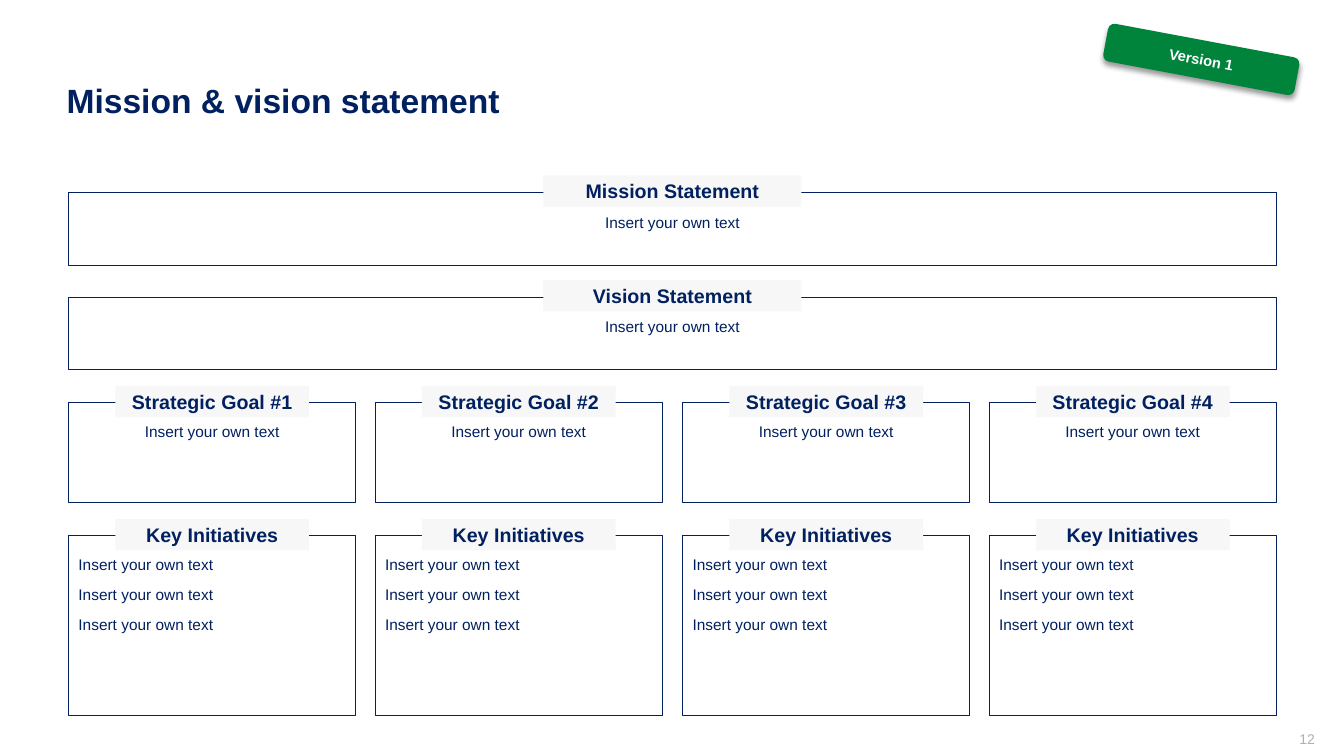
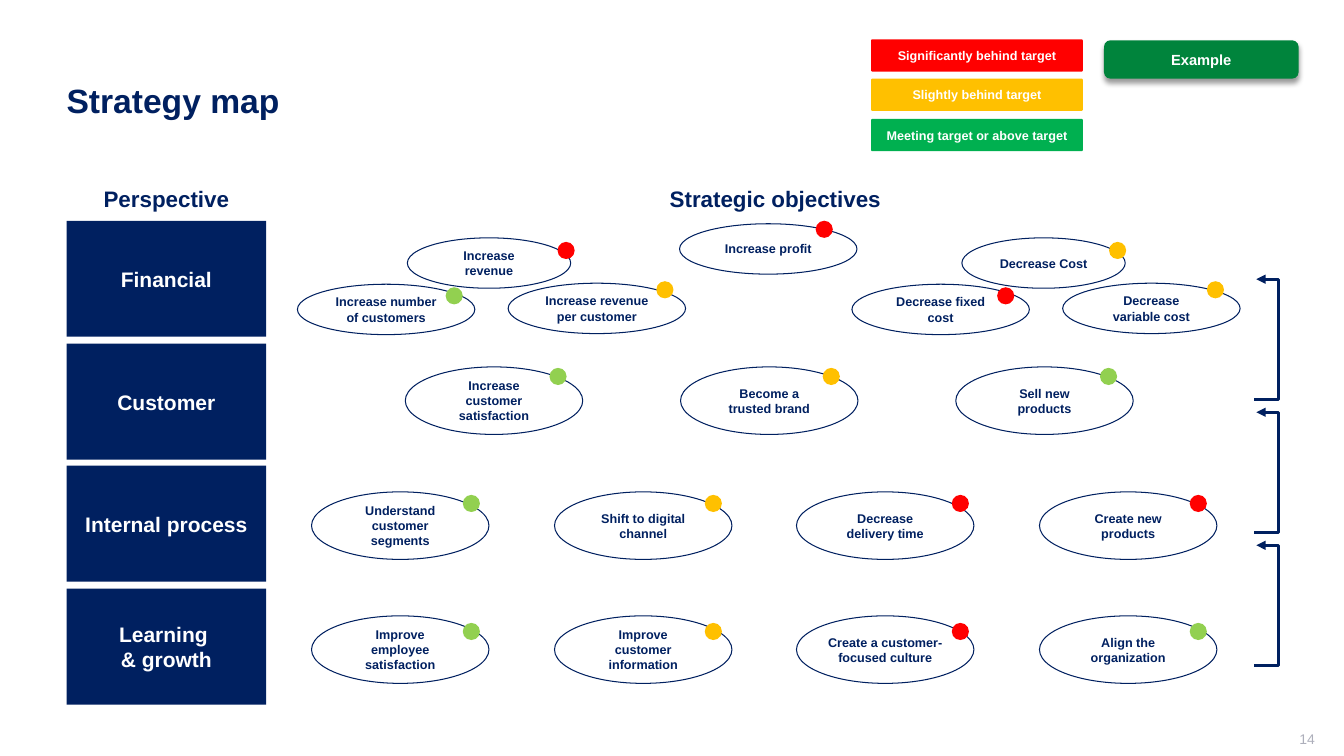
from lxml import etree
from pptx import Presentation
from pptx.dml.color import RGBColor
from pptx.enum.shapes import MSO_CONNECTOR, MSO_SHAPE
from pptx.enum.text import MSO_ANCHOR, PP_ALIGN
from pptx.oxml.ns import qn
from pptx.util import Pt

PX = 9144  # 100 px to the inch
W, H = 1333, 750

NAVY = RGBColor(0x00, 0x20, 0x60)
WHITE = RGBColor(0xFF, 0xFF, 0xFF)
PALE = RGBColor(0xF7, 0xF7, 0xF7)
GREY = RGBColor(0xAD, 0xAF, 0xBB)
FOREST = RGBColor(0x00, 0x84, 0x3C)
RED = RGBColor(0xFF, 0x00, 0x00)
AMBER = RGBColor(0xFF, 0xC0, 0x00)
GREEN = RGBColor(0x00, 0xB0, 0x50)
LIME = RGBColor(0x92, 0xD0, 0x50)

RECT, OVAL, ROUNDED = MSO_SHAPE.RECTANGLE, MSO_SHAPE.OVAL, MSO_SHAPE.ROUNDED_RECTANGLE
ELBOW = MSO_CONNECTOR.ELBOW
LEFT, CENTER, RIGHT = PP_ALIGN.LEFT, PP_ALIGN.CENTER, PP_ALIGN.RIGHT
TOP, MIDDLE = MSO_ANCHOR.TOP, MSO_ANCHOR.MIDDLE
INSETS = (10, 5, 10, 5)

# Mission and vision slide
SAMPLE = "Insert your own text"
PANEL_LEFT, PANEL_SPAN = 68, 1198
# top, height, panel width, header width, header rise, alignment, headers, body
PANEL_ROWS = [
    (191, 72, 1198, 256, 17, CENTER, ["Mission Statement"], [SAMPLE]),
    (295, 72, 1198, 256, 17, CENTER, ["Vision Statement"], [SAMPLE]),
    (399, 100, 285, 192, 16, CENTER,
     [f"Strategic Goal #{n}" for n in range(1, 5)], [SAMPLE]),
    (531, 179, 285, 192, 16, LEFT, ["Key Initiatives"] * 4, [SAMPLE] * 3),
]

# Strategy map slide
LEGEND = [
    ("Significantly behind target", RED),
    ("Slightly behind target", AMBER),
    ("Meeting target or above target", GREEN),
]
HEADINGS = [("Perspective", 66, 198, 0), ("Strategic objectives", 271, 996, 10)]
PERSPECTIVES = [["Financial"], ["Customer"], ["Internal process"],
                ["Learning ", "& growth"]]
# text, left, top, width, dot colour, dot offset
FINANCIAL = [
    ("Increase revenue", 404, 236, 162, RED, (149, 4)),
    ("Increase profit", 674, 222, 176, RED, (135, -3)),
    ("Increase number of customers", 295, 282, 176, LIME, (147, 3)),
    ("Increase revenue per customer", 504, 281, 176, AMBER, (147, -2)),
    ("Decrease Cost", 954, 236, 162, AMBER, (146, 4)),
    ("Decrease fixed cost", 845, 282, 176, RED, (144, 3)),
    ("Decrease variable cost", 1054, 281, 176, AMBER, (143, -2)),
]
# top, first left, last left, dot drop, objectives (lines, dot colour, dot shift)
OBJECTIVE_ROWS = [
    (364, 402, 948, 1, [
        (["Increase customer satisfaction"], LIME, 143),
        (["Become a trusted brand"], AMBER, 141),
        (["Sell new products"], LIME, 143)]),
    (488, 309, 1031, 3, [
        (["Understand customer segments"], LIME, 150),
        (["Shift to digital channel"], AMBER, 149),
        (["Decrease delivery time"], RED, 154),
        (["Create new products"], RED, 149)]),
    (611, 309, 1031, 7, [
        (["Improve", "employee satisfaction"], LIME, 150),
        (["Improve customer information"], AMBER, 149),
        (["Create a customer-focused culture"], RED, 154),
        (["Align the organization"], LIME, 149)]),
]
TIGHT = "Create a customer-focused culture"


def emu(*lengths):
    return [round(v * PX) for v in lengths]


def spread(first, last, count):
    """Left edges of count items evenly placed from first to last."""
    step = (last - first) / max(count - 1, 1)
    return [round(first + i * step) for i in range(count)]


def write(shape, lines, size, color, bold=True, align=CENTER, anchor=MIDDLE,
          insets=INSETS, gap=0):
    tf = shape.text_frame
    margins = zip(("left", "top", "right", "bottom"), emu(*insets))
    settings = {f"margin_{side}": v for side, v in margins}
    settings.update(word_wrap=True, vertical_anchor=anchor)
    for name, value in settings.items():
        setattr(tf, name, value)
    for i, line in enumerate(lines):
        p = tf.add_paragraph() if i else tf.paragraphs[0]
        p.alignment = align
        p.space_before, p.space_after = Pt(gap if i else 0), Pt(gap)
        r = p.add_run()
        r.text = line
        for name, value in dict(name="Arial", size=Pt(size), bold=bold).items():
            setattr(r.font, name, value)
        r.font.color.rgb = color


def add_shape(s, kind, box, fill=None, line=None):
    sp = s.shapes.add_shape(kind, *emu(*box))
    sp.shadow.inherit = False
    if fill is None:
        sp.fill.background()
    else:
        sp.fill.solid()
        sp.fill.fore_color.rgb = fill
    if line is None:
        sp.line.fill.background()
    else:
        sp.line.color.rgb = line
        sp.line.width = Pt(0.75)
    return sp


def add_text(s, box, lines, size, color, **format_values):
    write(s.shapes.add_textbox(*emu(*box)), lines, size, color, **format_values)


def add_slide(prs, title, number):
    s = prs.slides.add_slide(prs.slide_layouts[5])
    sp = s.shapes.title
    sp.left, sp.top, sp.width, sp.height = emu(56, 40, 1211, 119)
    write(sp, [title], 24, NAVY, align=LEFT)
    add_text(s, (1004, 725, 300, 21), [number], 10, GREY, bold=False,
             align=RIGHT, insets=(10, 0, 0, 5))
    return s


def add_badge(s, text, rotation=0):
    sp = add_shape(s, ROUNDED, (1095, 40, 193, 38), FOREST)
    sp.rotation = rotation
    write(sp, [text], 10.5, WHITE)
    effects = sp._element.spPr.find(qn("a:effectLst"))
    shadow = etree.SubElement(effects, qn("a:outerShdw"), blurRad=str(Pt(4)),
                              dist=str(Pt(3)), dir="5400000", algn="t",
                              rotWithShape="0")
    black = etree.SubElement(shadow, qn("a:srgbClr"), val="000000")
    etree.SubElement(black, qn("a:alpha"), val="40000")


def add_feedback_arrow(s, bottom):
    """Draw a bracket on the right that leads up to the next perspective."""
    width, reach = 2, 24
    cn = s.shapes.add_connector(
        ELBOW, *emu(1244, bottom, 1244 + width, bottom - 119))
    cn.line.color.rgb = NAVY
    cn.line.width = Pt(2.25)
    spPr = cn._element.spPr
    guides = spPr.find(qn("a:prstGeom")).get_or_add_avLst()
    etree.SubElement(guides, qn("a:gd"), name="adj1",
                     fmla=f"val {reach * 100000 // width}")
    etree.SubElement(cn.line._get_or_add_ln(), qn("a:tailEnd"), type="triangle")
    etree.SubElement(spPr, qn("a:effectLst"))


def add_objective(s, lines, box):
    side = 0 if lines == [TIGHT] else 10
    sp = add_shape(s, OVAL, box, WHITE, NAVY)
    write(sp, lines, 9, NAVY, insets=(side, 5, side, 5))


def build_mission(prs):
    s = add_slide(prs, "Mission & vision statement", "12")
    for top, height, width, head_width, rise, align, headers, body in PANEL_ROWS:
        lefts = spread(PANEL_LEFT, PANEL_LEFT + PANEL_SPAN - width, len(headers))
        for left, header in zip(lefts, headers):
            panel = add_shape(s, RECT, (left, top, width, height), line=NAVY)
            write(panel, body, 11, NAVY, bold=False, align=align, anchor=TOP,
                  insets=(10, 20, 10, 5), gap=4)
            head_left = left + (width - head_width) / 2
            head = add_shape(s, RECT, (head_left, top - rise, head_width, 31), PALE)
            write(head, [header], 14, NAVY)
    add_badge(s, "Version 1", 10.6)


def build_map(prs):
    s = add_slide(prs, "Strategy map", "14")
    for text, left, width, side in HEADINGS:
        add_text(s, (left, 180, width, 34), [text], 16, NAVY,
                 insets=(side, 5, side, 5))
    for top, lines in zip(spread(219, 584, len(PERSPECTIVES)), PERSPECTIVES):
        write(add_shape(s, RECT, (66, top, 198, 115), NAVY), lines, 15, WHITE)
    for bottom in spread(660, 396, 3):
        add_feedback_arrow(s, bottom)

    dots = []
    for text, left, top, width, color, (dx, dy) in FINANCIAL:
        add_objective(s, [text], (left, top, width, 50))
        dots.append((left + dx, top + dy, color))
    for top, first, last, drop, objectives in OBJECTIVE_ROWS:
        lefts = spread(first, last, len(objectives))
        for left, (lines, color, shift) in zip(lefts, objectives):
            add_objective(s, lines, (left, top, 176, 67))
            dots.append((left + shift, top + drop, color))
    for left, top, color in dots:
        add_shape(s, OVAL, (left, top, 17, 17), color)

    for top, (text, color) in zip(spread(39, 118, len(LEGEND)), LEGEND):
        sp = add_shape(s, ROUNDED, (864, top, 210, 32), color)
        sp.adjustments[0] = 0.04
        write(sp, [text], 9, WHITE, gap=3)
    add_badge(s, "Example")


def main():
    prs = Presentation()
    prs.slide_width, prs.slide_height = emu(W, H)
    build_mission(prs)
    build_map(prs)
    prs.save("out.pptx")


if __name__ == "__main__":
    main()
